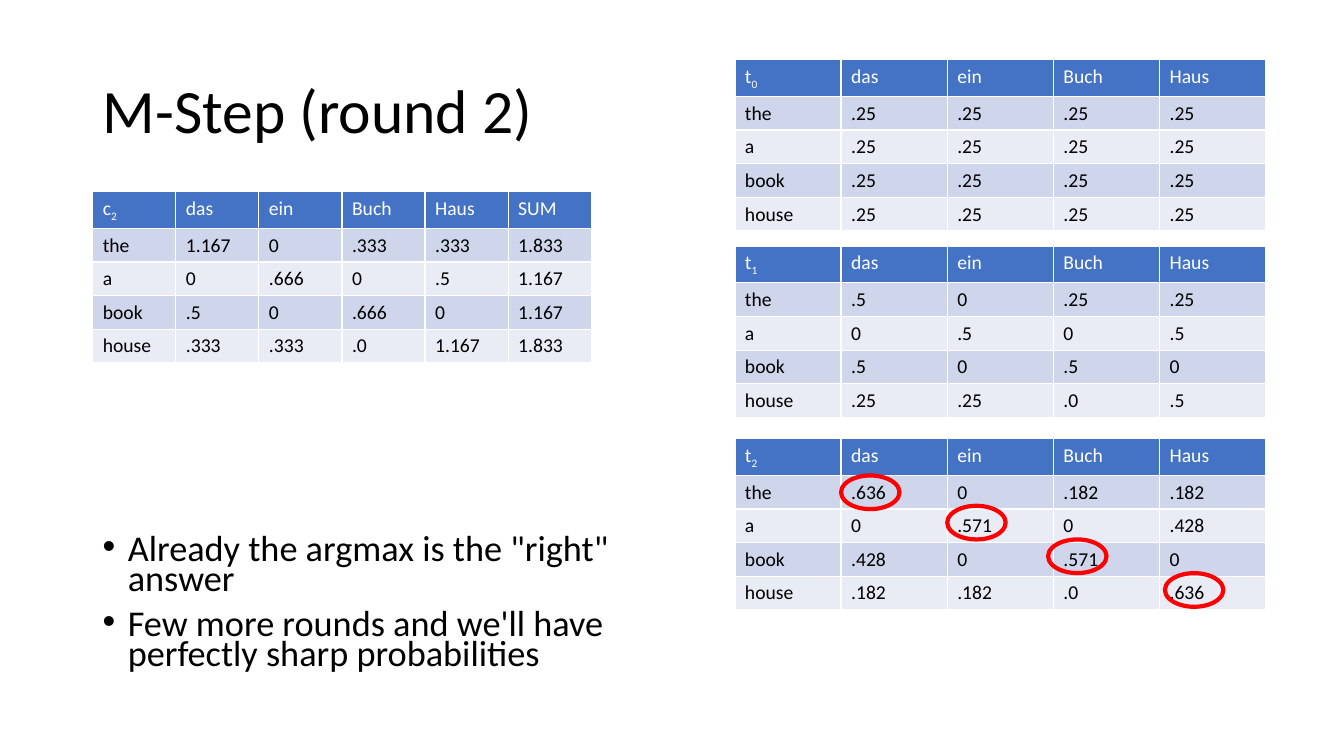
from dataclasses import dataclass

from lxml.etree import SubElement
from pptx import Presentation
from pptx.dml.color import RGBColor as RGB
from pptx.enum.shapes import MSO_SHAPE as SHAPE
from pptx.enum.text import MSO_ANCHOR as ANCHOR, PP_ALIGN as ALIGN
from pptx.oxml.ns import qn
from pptx.util import Inches, Pt


@dataclass(frozen=True)
class Theme:
    """Colours, font and type sizes of the slide."""
    font: str = "Calibri"
    ink: RGB = RGB(0, 0, 0)
    white: RGB = RGB(255, 255, 255)
    header: RGB = RGB(0x44, 0x72, 0xC4)
    bands: tuple = (RGB(0xE9, 0xEB, 0xF5), RGB(0xCF, 0xD5, 0xEA))
    ring: RGB = RGB(255, 0, 0)
    ring_width: Pt = Pt(3)
    title_size: Pt = Pt(44)
    body_size: Pt = Pt(25.9)
    table_size: Pt = Pt(14)


THEME = Theme()
WIDTH, HEIGHT = Inches(13.33), Inches(7.5)

TITLE_BOX = (6.9, 5.33, 86.3, 19.33)
NOTES_BOX = (6.9, 70.4, 46.7, 19.6)
COUNTS_BOX = (6.9, 25.33, 37.1, 22.27)
T_LEFT, T_WIDTH, T_HEIGHT = 54.68, 39.5, 22.27

T_HEADER = "das ein Buch Haus"
COUNTS = ("das ein Buch Haus SUM", "the 1.167 0 .333 .333 1.833", "a 0 .666 0 .5 1.167",
          "book .5 0 .666 0 1.167", "house .333 .333 .0 1.167 1.833")
T_TABLES = (
    (7.87, "0", ("the .25 .25 .25 .25", "a .25 .25 .25 .25",
                 "book .25 .25 .25 .25", "house .25 .25 .25 .25")),
    (32.53, "1", ("the .5 0 .25 .25", "a 0 .5 0 .5",
                  "book .5 0 .5 0", "house .25 .25 .0 .5")),
    (58, "2", ("the .636 0 .182 .182", "a 0 .571 0 .428",
               "book .428 0 .571 0", "house .182 .182 .0 .636")),
)
RINGS = ((0.2, 0.22), (0.4, 0.4), (0.59, 0.6), (0.81, 0.8))
RING_SIZE = (0.11, 0.2)
NOTES = ('Already the argmax is the "right" answer',
         "Few more rounds and we'll have perfectly sharp probabilities")


def place(box):
    """Turn percentages of the slide into left, top, width and height."""
    return [round(share * side / 100) for share, side in zip(box, (WIDTH, HEIGHT) * 2)]


def assign(target, **values):
    """Set several attributes on one object."""
    for name, value in values.items():
        setattr(target, name, value)


def style(font, size, color):
    """Give a font its face, size and colour."""
    assign(font, name=THEME.font, size=size, bold=False)
    font.color.rgb = color


def add_title(s, box, text):
    """Fill and place the title."""
    sp = s.shapes.title
    assign(sp, **dict(zip(("left", "top", "width", "height"), place(box))))
    tf = sp.text_frame
    assign(tf, text=text, vertical_anchor=ANCHOR.MIDDLE)
    p = tf.paragraphs[0]
    assign(p, alignment=ALIGN.LEFT, line_spacing=0.9)
    style(p.runs[0].font, THEME.title_size, THEME.ink)


def add_notes(s, box, lines):
    """Write the bulleted conclusions."""
    tf = s.shapes.add_textbox(*place(box)).text_frame
    tf.word_wrap = True
    for i, line in enumerate(lines):
        p = tf.add_paragraph() if i else tf.paragraphs[0]
        p.line_spacing = 0.7
        if i:
            p.space_before = Pt(10)
        props = p._p.get_or_add_pPr()
        props.set("marL", str(Inches(0.25)))
        props.set("indent", str(-Inches(0.25)))
        SubElement(props, qn("a:buFont"), typeface="Arial")
        SubElement(props, qn("a:buChar"), char="•")
        r = p.add_run()
        r.text = line
        style(r.font, THEME.body_size, THEME.ink)


def add_matrix(s, box, symbol, index, lines):
    """Draw a banded table whose corner holds a symbol with a subscript."""
    rows = [line.split() for line in lines]
    rows[0].insert(0, symbol)
    table = s.shapes.add_table(len(rows), len(rows[0]), *place(box)).table
    for i, row in enumerate(rows):
        for j, text in enumerate(row):
            cell = table.cell(i, j)
            cell.fill.solid()
            cell.fill.fore_color.rgb = THEME.bands[i % 2] if i else THEME.header
            p = cell.text_frame.paragraphs[0]
            for part in (text, index) if i == j == 0 else (text,):
                r = p.add_run()
                r.text = part
                style(r.font, THEME.table_size, THEME.ink if i else THEME.white)
    table.cell(0, 0).text_frame.paragraphs[0].runs[1].font._element.set("baseline", "-25000")


def add_rings(s, box):
    """Circle the best translation in each row of a table."""
    left, top, width, height = place(box)
    w, h = RING_SIZE
    for x, y in RINGS:
        sp = s.shapes.add_shape(SHAPE.OVAL, round(left + x * width), round(top + y * height),
                                round(w * width), round(h * height))
        sp.shadow.inherit = False
        sp.fill.background()
        sp.line.color.rgb = THEME.ring
        sp.line.width = THEME.ring_width


def main():
    """Build and save the slide."""
    prs = Presentation()
    assign(prs, slide_width=WIDTH, slide_height=HEIGHT)
    s = prs.slides.add_slide(prs.slide_layouts[5])
    add_title(s, TITLE_BOX, "M-Step (round 2)")
    add_notes(s, NOTES_BOX, NOTES)
    add_matrix(s, COUNTS_BOX, "c", "2", COUNTS)
    for top, index, lines in T_TABLES:
        box = (T_LEFT, top, T_WIDTH, T_HEIGHT)
        add_matrix(s, box, "t", index, (T_HEADER, *lines))
    add_rings(s, box)
    prs.save("out.pptx")


if __name__ == "__main__":
    main()
